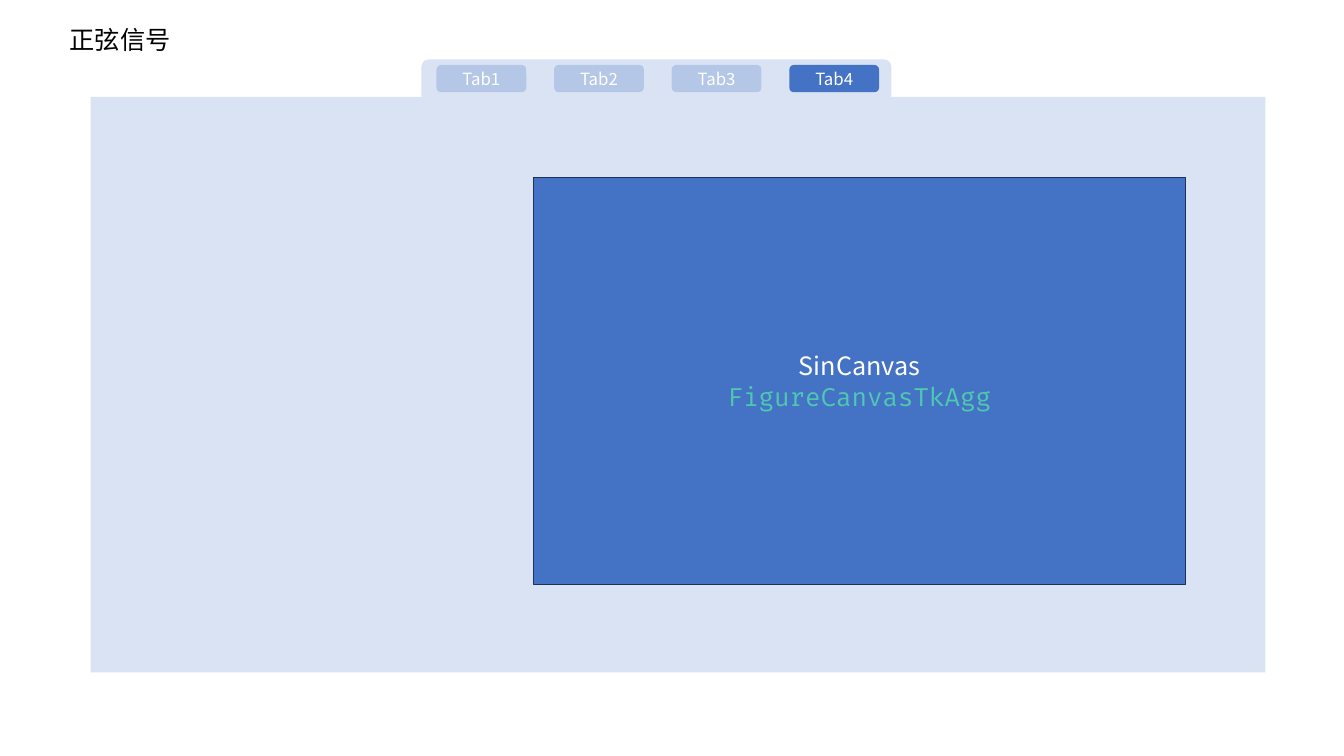
from lxml import etree
from pptx import Presentation
from pptx import util as u
from pptx.dml.color import RGBColor
from pptx.enum import shapes, text
from pptx.oxml.ns import qn

SANS, CODE = "Noto Sans CJK SC", "Fira Code"
PALE, SOFT, BLUE, NAVY = "DAE3F3", "B4C7E7", "4472C4", "1E3256"
WHITE, BLACK, TEAL = "FFFFFF", "000000", "4EC9B0"
WIDTH, HEIGHT = u.Inches(13.33), u.Inches(7.5)
RECT = shapes.MSO_SHAPE.RECTANGLE
ROUND = shapes.MSO_SHAPE.ROUNDED_RECTANGLE


def color(value):
    return RGBColor.from_string(value)


def place(left, top, width, height):
    """Turn percentages of the slide's size into lengths."""
    return (int(WIDTH * left / 100), int(HEIGHT * top / 100),
            int(WIDTH * width / 100), int(HEIGHT * height / 100))


def write(para, words, size, ink, face=SANS, align=text.PP_ALIGN.CENTER):
    para.text = words
    para.alignment = align
    font = para.font
    font.size, font.name = u.Pt(size), face
    font.color.rgb = color(ink)
    # East Asian characters need their own typeface entry
    latin = para._p.find(".//" + qn("a:latin"))
    east = etree.Element(qn("a:ea"), typeface=face)
    latin.addnext(east)


def add_block(page, kind, area, fill, outline=None):
    block = page.shapes.add_shape(kind, *place(*area))
    block.shadow.inherit = False
    block.fill.solid()
    block.fill.fore_color.rgb = color(fill)
    if outline:
        block.line.color.rgb = color(outline)
        block.line.width = u.Pt(1)
    else:
        block.line.fill.background()
    block.text_frame.vertical_anchor = text.MSO_ANCHOR.MIDDLE
    return block


def add_title(page, words, area):
    title = page.shapes.title
    title.left, title.top, title.width, title.height = place(*area)
    frame = title.text_frame
    frame.vertical_anchor = text.MSO_ANCHOR.TOP
    frame.auto_size = text.MSO_AUTO_SIZE.SHAPE_TO_FIT_TEXT
    write(frame.paragraphs[0], words, 18, BLACK, align=text.PP_ALIGN.LEFT)


def add_canvas(page, area):
    frame = add_block(page, RECT, area, BLUE, NAVY).text_frame
    write(frame.paragraphs[0], "SinCanvas", 18, WHITE)
    write(frame.add_paragraph(), "FigureCanvasTkAgg", 18, TEAL, CODE)


def add_tabs(page, names, active):
    left, step = 32.48, 8.75
    for index, name in enumerate(names):
        area = (left + index * step, 8.6, 6.68, 3.6)
        tab = add_block(page, ROUND, area, BLUE if name == active else SOFT)
        write(tab.text_frame.paragraphs[0], name, 12, WHITE)


def main():
    deck = Presentation()
    deck.slide_width, deck.slide_height = WIDTH, HEIGHT
    page = deck.slides.add_slide(deck.slide_layouts[5])
    add_title(page, "正弦信号", (4.43, 2.53, 14.85, 5.33))
    # Window panel with the plotting canvas
    add_block(page, RECT, (6.75, 12.8, 87.4, 76.13), PALE)
    add_canvas(page, (39.68, 23.47, 48.54, 53.87))
    # Tab strip
    add_block(page, ROUND, (31.36, 7.87, 34.96, 5.73), PALE)
    add_tabs(page, ["Tab1", "Tab2", "Tab3", "Tab4"], active="Tab4")
    deck.save("out.pptx")


main()
